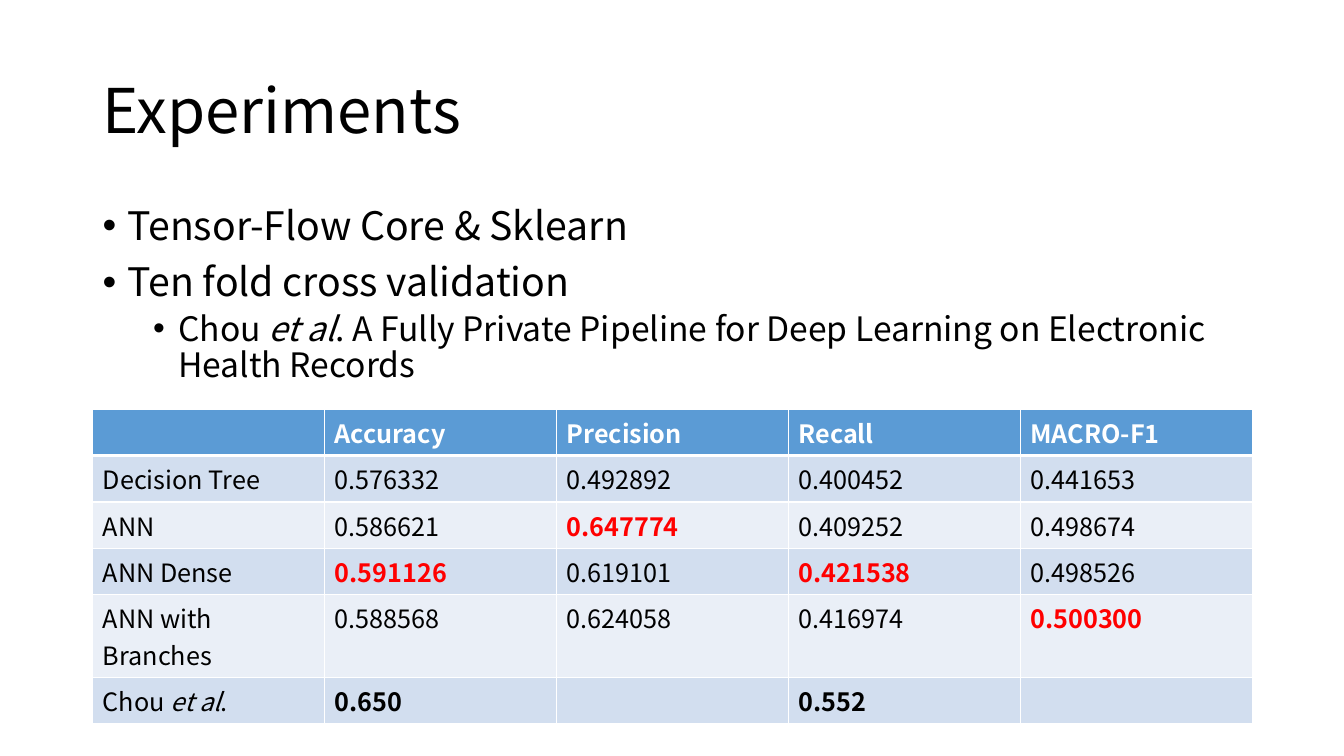
import pptx
import pptx.dml.color
import pptx.enum.text
import pptx.oxml
import pptx.oxml.ns
import pptx.util
from pptx.util import Inches

FONT = "Noto Sans CJK SC"
COLORS = {
    "text": "000000",
    "white": "FFFFFF",
    "best": "FF0000",
    "header": "5B9BD5",
    "band_dark": "D2DEEF",
    "band_light": "EAEFF7",
}
LEFT, WIDTH = 0.92, 11.5
NAMESPACE = pptx.oxml.ns.nsdecls("a")


def write_text(paragraph, text, size=18, color="text", bold=False):
    """Add runs to the paragraph; parts between asterisks are italic."""
    for index, part in enumerate(text.split("*")):
        run = paragraph.add_run()
        run.text = part
        run.font.name = FONT
        run.font.size = pptx.util.Pt(size)
        run.font.bold = bold
        run.font.italic = index % 2 == 1
        run.font.color.rgb = pptx.dml.color.RGBColor.from_string(COLORS[color])


def set_borders(cell, **widths):
    """Draw white cell borders; widths are points, keyed L, R, T, B in that order."""
    properties = cell._tc.get_or_add_tcPr()
    for position, (side, width) in enumerate(widths.items()):
        border = pptx.oxml.parse_xml(
            f'<a:ln{side} {NAMESPACE} w="{pptx.util.Pt(width)}"><a:solidFill>'
            f'<a:srgbClr val="{COLORS["white"]}"/></a:solidFill></a:ln{side}>'
        )
        properties.insert(position, border)


presentation = pptx.Presentation()
presentation.slide_width = Inches(13.33)
presentation.slide_height = Inches(7.5)
slide = presentation.slides.add_slide(presentation.slide_layouts[6])

# Title
title_box = slide.shapes.add_textbox(Inches(LEFT), Inches(0.4), Inches(WIDTH), Inches(1.45))
title_box.text_frame.word_wrap = True
title_box.text_frame.vertical_anchor = pptx.enum.text.MSO_ANCHOR.MIDDLE
title_paragraph = title_box.text_frame.paragraphs[0]
title_paragraph.line_spacing = 0.9
write_text(title_paragraph, "Experiments", size=44)

# Bullets: text, level, size, space before, left margin
bullets = [
    ("Tensor-Flow Core & Sklearn", 0, 28, 10, 0.25),
    ("Ten fold cross validation", 0, 28, 10, 0.25),
    ("Chou *et al*. A Fully Private Pipeline for Deep Learning on Electronic Health Records",
     1, 24, 5, 0.75),
]
body_box = slide.shapes.add_textbox(Inches(LEFT), Inches(2), Inches(WIDTH), Inches(4.76))
body_frame = body_box.text_frame
body_frame.word_wrap = True
for index, (text, level, size, space_before, margin) in enumerate(bullets):
    paragraph = body_frame.add_paragraph() if index else body_frame.paragraphs[0]
    paragraph.level = level
    paragraph.line_spacing = 0.9
    paragraph.space_before = pptx.util.Pt(space_before)
    properties = paragraph._p.get_or_add_pPr()
    properties.set("marL", str(Inches(margin)))
    properties.set("indent", str(Inches(-0.25)))
    properties.append(pptx.oxml.parse_xml(f'<a:buFont {NAMESPACE} typeface="Arial"/>'))
    properties.append(pptx.oxml.parse_xml(f'<a:buChar {NAMESPACE} char="•"/>'))
    write_text(paragraph, text, size=size)

# Results table
results = [
    ["", "Accuracy", "Precision", "Recall", "MACRO-F1"],
    ["Decision Tree", "0.576332", "0.492892", "0.400452", "0.441653"],
    ["ANN", "0.586621", "0.647774", "0.409252", "0.498674"],
    ["ANN Dense", "0.591126", "0.619101", "0.421538", "0.498526"],
    ["ANN with Branches", "0.588568", "0.624058", "0.416974", "0.500300"],
    ["Chou *et al*.", "0.650", "", "0.552", ""],
]
best_scores = {"0.647774", "0.591126", "0.421538", "0.500300"}
baseline_scores = {"0.650", "0.552"}
# The label "ANN with Branches" takes two lines
row_heights = [0.46, 0.46, 0.46, 0.46, 0.82, 0.46]

row_count, column_count = len(results), len(results[0])
table = slide.shapes.add_table(
    row_count, column_count,
    Inches(LEFT), Inches(4.06), Inches(WIDTH), Inches(sum(row_heights)),
).table
for column in table.columns:
    column.width = Inches(WIDTH / column_count)
for table_row, height in zip(table.rows, row_heights):
    table_row.height = Inches(height)

for row_index, row in enumerate(results):
    is_header = row_index == 0
    if is_header:
        fill = "header"
    else:
        fill = "band_dark" if row_index % 2 else "band_light"
    for column_index, text in enumerate(row):
        cell = table.cell(row_index, column_index)
        cell.fill.solid()
        cell.fill.fore_color.rgb = pptx.dml.color.RGBColor.from_string(COLORS[fill])
        set_borders(cell, L=1, R=1, T=3 if row_index == 1 else 1, B=3 if is_header else 1)
        if text:
            color = "white" if is_header else "best" if text in best_scores else "text"
            bold = is_header or text in best_scores | baseline_scores
            write_text(cell.text_frame.paragraphs[0], text, color=color, bold=bold)

presentation.save("out.pptx")
